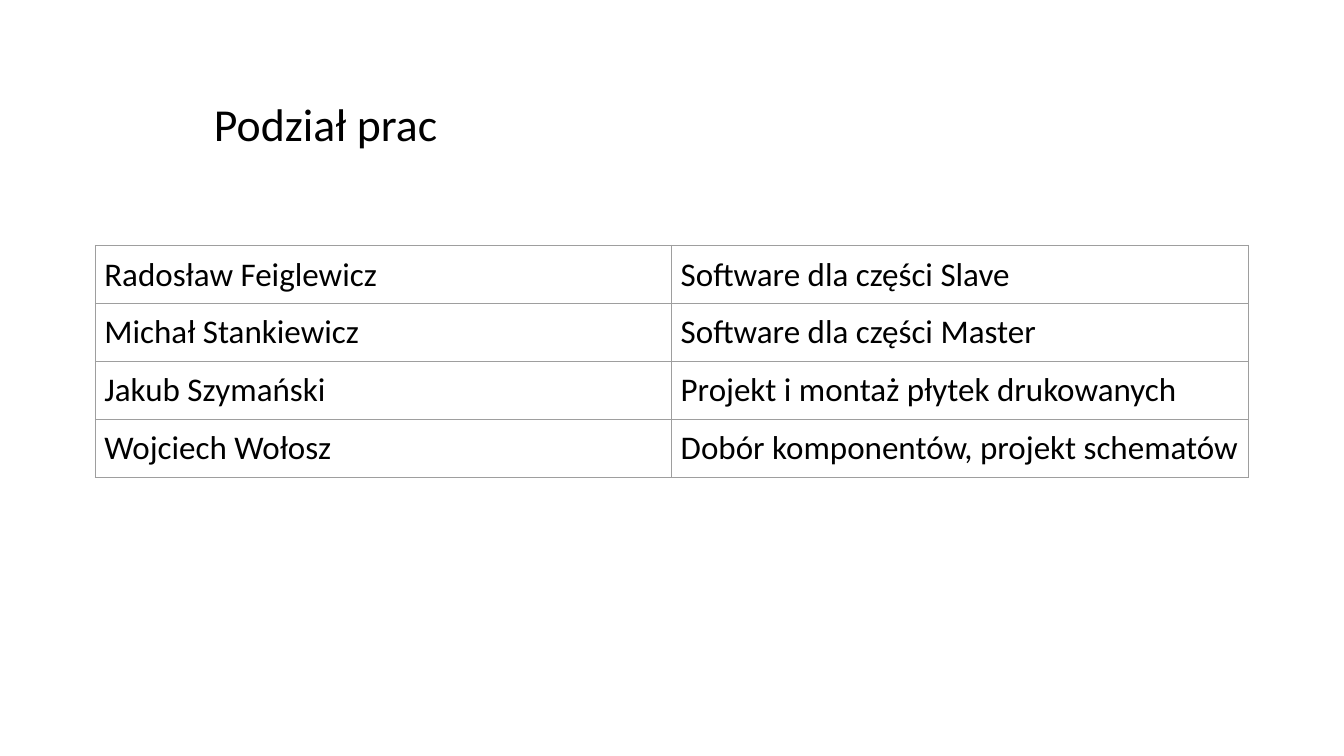
from pptx import Presentation
from pptx.dml.color import RGBColor as RGB
from pptx.enum.text import MSO_AUTO_SIZE as Fit
from pptx.oxml import parse_xml as to_xml
from pptx.oxml.ns import nsdecls
from pptx.util import Inches as In, Pt

BLACK = RGB(0x00, 0x00, 0x00)
WHITE = RGB(0xFF, 0xFF, 0xFF)
GREY = RGB(0x9E, 0x9E, 0x9E)

TASKS = [
    ("Radosław Feiglewicz", "Software dla części Slave"),
    ("Michał Stankiewicz", "Software dla części Master"),
    ("Jakub Szymański", "Projekt i montaż płytek drukowanych"),
    ("Wojciech Wołosz", "Dobór komponentów, projekt schematów"),
]


def apply(target, values):
    for name, value in values.items():
        setattr(target, name, value)


class Deck:
    font = "Calibri"
    pad = In(0.1)
    sides = ("left", "top", "right", "bottom")

    def __init__(self, width, height):
        self.file = Presentation()
        apply(self.file, {"slide_width": In(width), "slide_height": In(height)})
        self.slide = self.file.slides.add_slide(self.file.slide_layouts[6])
        fill = self.slide.background.fill
        fill.solid()
        fill.fore_color.rgb = WHITE

    def label(self, frame, text, size):
        run = frame.paragraphs[0].add_run()
        run.text = text
        apply(run.font, {"name": self.font, "size": Pt(size), "bold": False})
        run.font.color.rgb = BLACK

    def inset(self, target):
        apply(target, {f"margin_{side}": self.pad for side in self.sides})

    def title(self, text, left, top, width, height, size):
        box = self.slide.shapes.add_textbox(In(left), In(top), In(width), In(height))
        frame = box.text_frame
        apply(frame, {"word_wrap": True, "auto_size": Fit.SHAPE_TO_FIT_TEXT})
        self.inset(frame)
        self.label(frame, text, size)

    def border(self, cell):
        props = cell._tc.get_or_add_tcPr()
        for side in "LRTB":
            props.append(to_xml(
                f'<a:ln{side} {nsdecls("a")} w="{Pt(0.75)}"><a:solidFill>'
                f'<a:srgbClr val="{GREY}"/></a:solidFill></a:ln{side}>'))

    def table(self, rows, left, top, col, row, size):
        """Draw an unstyled grid with equal columns and rows."""
        count, span = len(rows), len(rows[0])
        grid = self.slide.shapes.add_table(
            count, span, In(left), In(top), In(col * span), In(row * count)).table
        apply(grid, {"first_row": False, "horz_banding": False})
        for line, texts in zip(grid.rows, rows):
            for cell, text in zip(line.cells, texts):
                self.inset(cell)
                self.border(cell)
                cell.fill.background()
                self.label(cell.text_frame, text, size)


def main():
    deck = Deck(14.69, 8.26)
    deck.title("Podział prac", 2.24, 0.95, 12.31, 0.81, size=36)
    deck.table(TASKS, 1.04, 2.68, col=6.3, row=0.63, size=26)
    deck.file.save("out.pptx")


if __name__ == "__main__":
    main()
